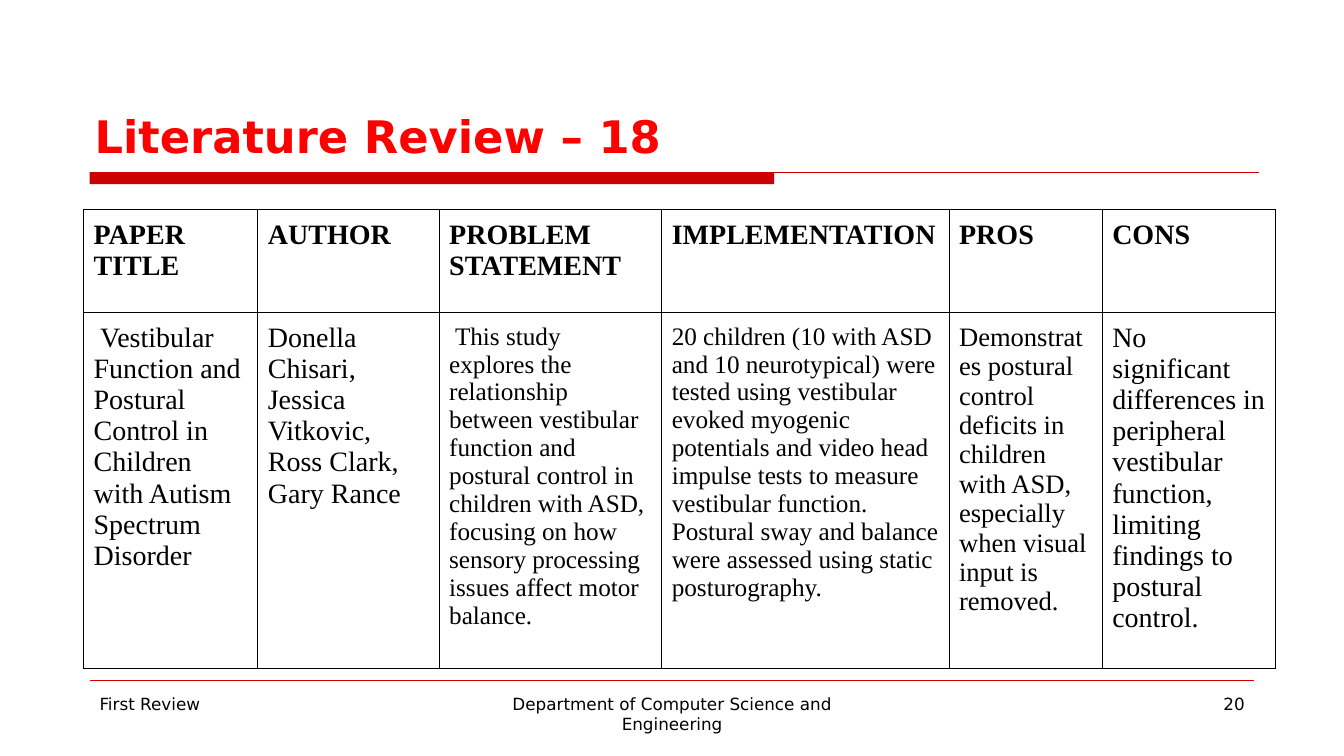
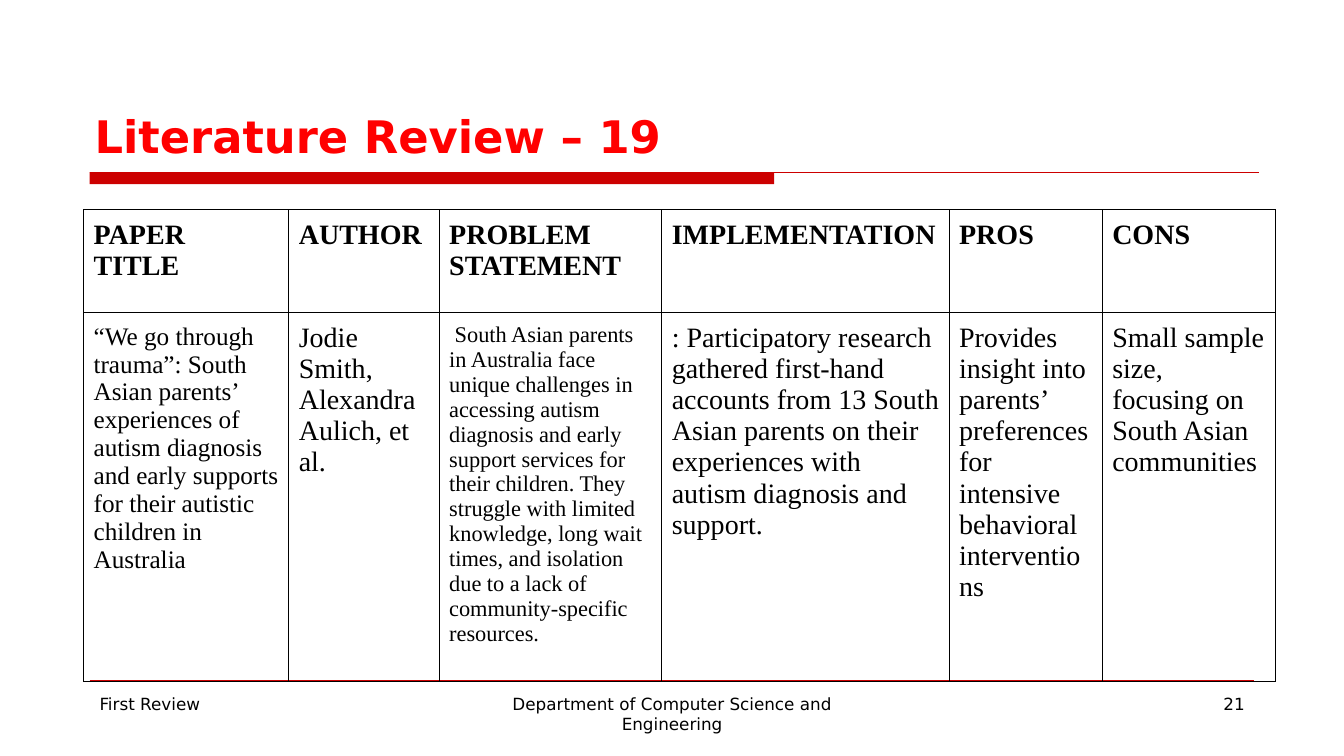
import pptx
import pptx.dml.color
import pptx.enum.shapes
import pptx.enum.text
import pptx.oxml
import pptx.oxml.ns
import pptx.util

Cm, Pt = pptx.util.Cm, pptx.util.Pt
ALIGN = pptx.enum.text.PP_ALIGN
ANCHOR = pptx.enum.text.MSO_ANCHOR

COLOURS = {"title": "FF0000", "band": "CC0000", "text": "000000"}
SANS, SERIF = "DejaVu Sans", "Times New Roman"
HEADER_SIZE = 20
EDGE = 2.26
ROW_HEIGHTS = (2.59, 8.84)
SHARED_WIDTHS = (5.61, 7.24, 3.86, 4.37)
HEADINGS = ("PAPER\nTITLE", "AUTHOR", "PROBLEM STATEMENT", "IMPLEMENTATION", "PROS", "CONS")

REVIEWS = (
    {
        "number": 18,
        "page": 20,
        "widths": (4.39, 4.57) + SHARED_WIDTHS,
        "findings": (
            (" Vestibular Function and Postural Control in Children with Autism Spectrum Disorder", 20),
            ("Donella Chisari, Jessica Vitkovic, Ross Clark, Gary Rance", 20),
            (" This study explores the relationship between vestibular function and postural control "
             "in children with ASD, focusing on how sensory processing issues affect motor balance.", 18),
            ("20 children (10 with ASD and 10 neurotypical) were tested using vestibular evoked myogenic "
             "potentials and video head impulse tests to measure vestibular function. Postural sway and "
             "balance were assessed using static posturography.", 18),
            ("Demonstrates postural control deficits in children with ASD, especially when visual input "
             "is removed.", 19),
            ("No significant differences in peripheral vestibular function, limiting findings to "
             "postural control.", 20),
        ),
    },
    {
        "number": 19,
        "page": 21,
        "widths": (5.17, 3.79) + SHARED_WIDTHS,
        "findings": (
            ("“We go through trauma”: South Asian parents’ experiences of autism diagnosis and early "
             "supports for their autistic children in Australia", 18),
            ("Jodie Smith, Alexandra Aulich, et al.", 20),
            (" South Asian parents in Australia face unique challenges in accessing autism diagnosis and "
             "early support services for their children. They struggle with limited knowledge, long wait "
             "times, and isolation due to a lack of community-specific resources.", 16),
            (": Participatory research gathered first-hand accounts from 13 South Asian parents on their "
             "experiences with autism diagnosis and support.", 20),
            ("Provides insight into parents’ preferences for intensive behavioral interventions", 20),
            ("Small sample size, focusing on South Asian communities", 20),
        ),
    },
)


def rgb(name):
    """Return the palette colour with this name."""
    return pptx.dml.color.RGBColor.from_string(COLOURS[name])


def write(frame, text, size, font, colour="text", bold=False, align=ALIGN.LEFT):
    """Fill a text frame with one formatted paragraph."""
    frame.word_wrap = True
    paragraph = frame.paragraphs[0]
    paragraph.text = text
    paragraph.alignment = align
    for run in paragraph.runs:
        run.font.size = Pt(size)
        run.font.name = font
        run.font.bold = bold
        run.font.color.rgb = rgb(colour)


def add_rule(slide, right, y, weight):
    """Draw a thin horizontal rule from the left edge."""
    rule = slide.shapes.add_connector(
        pptx.enum.shapes.MSO_CONNECTOR.STRAIGHT, Cm(EDGE), Cm(y), Cm(right), Cm(y))
    rule.line.color.rgb = rgb("band")
    rule.line.width = Pt(weight)
    properties = rule._element.spPr
    properties.append(properties.makeelement(pptx.oxml.ns.qn("a:effectLst"), {}))


def add_title(slide, text):
    """Place the title above its red band."""
    band = slide.shapes.add_shape(
        pptx.enum.shapes.MSO_SHAPE.RECTANGLE, Cm(EDGE), Cm(4.34), Cm(17.25), Cm(0.3))
    band.shadow.inherit = False
    band.fill.solid()
    band.fill.fore_color.rgb = rgb("band")
    band.line.fill.background()
    add_rule(slide, 31.72, 4.34, 0.75)
    title = slide.shapes.title
    title.left, title.top, title.width, title.height = Cm(2.13), Cm(0.84), Cm(29.64), Cm(3.38)
    title.text_frame.auto_size = pptx.enum.text.MSO_AUTO_SIZE.NONE
    title.text_frame.vertical_anchor = ANCHOR.BOTTOM
    write(title.text_frame, text, 32, SANS, "title", bold=True)


def add_footer(slide, page):
    """Add the footer rule and its three texts."""
    add_rule(slide, 31.6, 17.14, 0.25)
    parts = (
        (EDGE, 7.34, "First Review", ALIGN.LEFT),
        (11.58, 10.72, "Department of Computer Science and Engineering", ALIGN.CENTER),
        (24.28, 7.34, str(page), ALIGN.RIGHT),
    )
    for left, width, text, align in parts:
        box = slide.shapes.add_textbox(Cm(left), Cm(17.35), Cm(width), Cm(1.32))
        write(box.text_frame, text, 12, SANS, align=align)


def add_borders(cell):
    """Outline a table cell on all four sides."""
    properties = cell._tc.get_or_add_tcPr()
    for position, side in enumerate(("lnL", "lnR", "lnT", "lnB")):
        border = pptx.oxml.parse_xml(
            f'<a:{side} {pptx.oxml.ns.nsdecls("a")} w="{Pt(0.75)}"><a:solidFill>'
            f'<a:srgbClr val="{COLOURS["text"]}"/></a:solidFill></a:{side}>')
        properties.insert(position, border)


def add_review_table(slide, widths, findings):
    """Add the table of headings and findings."""
    table = slide.shapes.add_table(
        len(ROW_HEIGHTS), len(widths), Cm(2.11), Cm(5.29),
        Cm(sum(widths)), Cm(sum(ROW_HEIGHTS))).table
    table.first_row = table.horz_banding = False
    for row, height in zip(table.rows, ROW_HEIGHTS):
        row.height = Cm(height)
    for column, width in zip(table.columns, widths):
        column.width = Cm(width)
    headings = [(heading, HEADER_SIZE) for heading in HEADINGS]
    for row_index, entries in enumerate((headings, findings)):
        for column_index, (text, size) in enumerate(entries):
            cell = table.cell(row_index, column_index)
            cell.margin_left = cell.margin_right = Cm(0.25)
            cell.margin_top = cell.margin_bottom = Cm(0.25)
            cell.vertical_anchor = ANCHOR.TOP
            cell.fill.background()
            add_borders(cell)
            write(cell.text_frame, text, size, SERIF, bold=row_index == 0)


def main():
    """Build and save the literature review slides."""
    deck = pptx.Presentation()
    deck.slide_width, deck.slide_height = Cm(33.87), Cm(19.05)
    for review in REVIEWS:
        slide = deck.slides.add_slide(deck.slide_layouts.get_by_name("Title Only"))
        add_title(slide, f"Literature Review – {review['number']}")
        add_footer(slide, review["page"])
        add_review_table(slide, review["widths"], review["findings"])
    deck.save("out.pptx")


if __name__ == "__main__":
    main()
